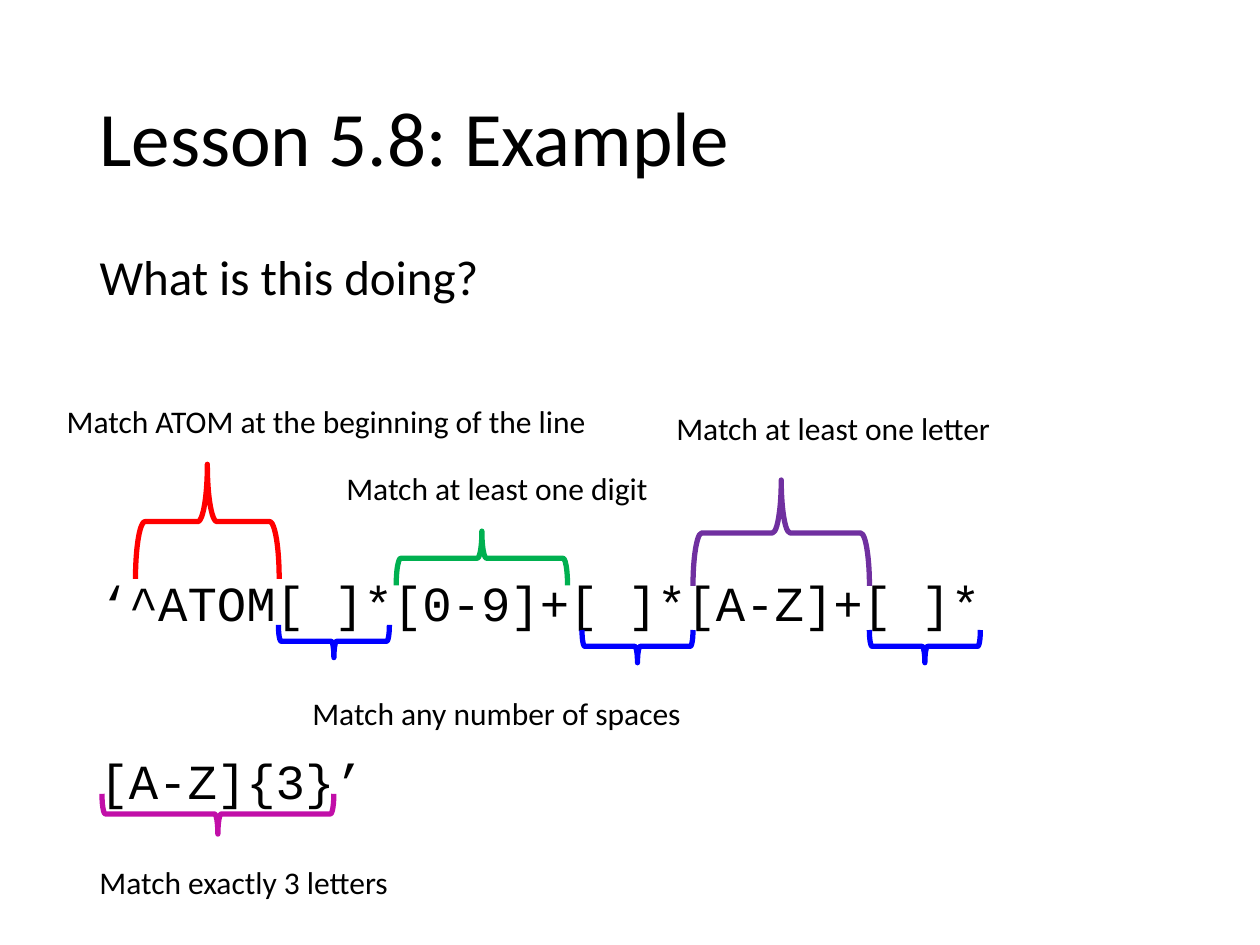
from dataclasses import dataclass

from lxml.etree import SubElement
from pptx import Presentation
from pptx.dml.color import RGBColor
from pptx.enum.shapes import MSO_SHAPE
from pptx.enum.text import MSO_ANCHOR, MSO_AUTO_SIZE, PP_ALIGN
from pptx.oxml.ns import qn
from pptx.util import Pt


@dataclass(frozen=True)
class Label:
    text: str
    left: float
    top: float
    width: float


@dataclass(frozen=True)
class Brace:
    left: float
    top: float
    width: float
    height: float
    color: str
    rotation: int


@dataclass(frozen=True)
class BodyLine:
    text: str
    font: str
    space_before: float


POINT_UP, POINT_DOWN = 90, 270
BLUE = "0000FF"
LABEL_HEIGHT = 29

LABELS = [
    Label("Match ATOM at the beginning of the line", 31, 226, 314.6),
    Label("Match any number of spaces", 171.4, 393.1, 227.5),
    Label("Match at least one digit", 190.8, 264.2, 188.6),
    Label("Match at least one letter", 379.4, 230.4, 196.6),
    Label("Match exactly 3 letters", 49.7, 489.6, 181.4),
]
BRACES = [
    Brace(77.4, 265.3, 82.1, 65.5, "FF0000", POINT_UP),
    Brace(159.1, 357.1, 63.4, 18.7, BLUE, POINT_DOWN),
    Brace(226.4, 303.5, 97.9, 31, "00B050", POINT_UP),
    Brace(332.6, 360, 63.4, 18.7, BLUE, POINT_DOWN),
    Brace(496.8, 360, 63.4, 18.7, BLUE, POINT_DOWN),
    Brace(396, 274.3, 100.8, 60.5, "7030A0", POINT_UP),
    Brace(58.3, 453.6, 132.5, 23, "C10FA8", POINT_DOWN),
]
BODY_LINES = [
    BodyLine("What is this doing?", "Calibri", 10),
    BodyLine("‘^ATOM[ ]*[0-9]+[ ]*[A-Z]+[ ]*", "Courier New", 159),
    BodyLine("[A-Z]{3}’", "Courier New", 75),
]


def color_of(value: str) -> RGBColor:
    return RGBColor.from_string(value)


def place(shape, left: float, top: float, width: float, height: float) -> None:
    shape.left, shape.top = Pt(left), Pt(top)
    shape.width, shape.height = Pt(width), Pt(height)


def add_span(para, text: str, size: float, font: str = "Calibri") -> None:
    span = para.add_run()
    span.text = text
    span.font.size = Pt(size)
    span.font.name = font
    span.font.color.rgb = color_of("000000")


def fill_title(title) -> None:
    place(title, 49.7, 28.8, 620.6, 104.4)
    title.text_frame.vertical_anchor = MSO_ANCHOR.MIDDLE
    title.text_frame.auto_size = MSO_AUTO_SIZE.NONE
    para = title.text_frame.paragraphs[0]
    para.alignment = PP_ALIGN.LEFT
    para.line_spacing = 0.9
    add_span(para, "Lesson 5.8: Example", 44)


def fill_body(body, lines: list[BodyLine]) -> None:
    place(body, 49.7, 144, 620.6, 342.7)
    frame = body.text_frame
    frame.auto_size = MSO_AUTO_SIZE.NONE
    for index, line in enumerate(lines):
        para = frame.add_paragraph() if index else frame.paragraphs[0]
        para.line_spacing = 0.8
        para.space_before = Pt(line.space_before)
        properties = para._p.get_or_add_pPr()
        properties.set("marL", "0")
        properties.set("indent", "0")
        SubElement(properties, qn("a:buNone"))
        add_span(para, line.text, 28, line.font)


def draw_label(page, label: Label) -> None:
    box = page.shapes.add_textbox(
        Pt(label.left), Pt(label.top), Pt(label.width), Pt(LABEL_HEIGHT)
    )
    box.text_frame.word_wrap = False
    box.text_frame.auto_size = MSO_AUTO_SIZE.SHAPE_TO_FIT_TEXT
    add_span(box.text_frame.paragraphs[0], label.text, 18)


def draw_brace(page, brace: Brace) -> None:
    offset = (brace.width - brace.height) / 2
    shape = page.shapes.add_shape(
        MSO_SHAPE.LEFT_BRACE,
        Pt(brace.left + offset),
        Pt(brace.top - offset),
        Pt(brace.height),
        Pt(brace.width),
    )
    shape.rotation = brace.rotation
    shape.shadow.inherit = False
    shape.fill.background()
    shape.line.color.rgb = color_of(brace.color)
    shape.line.width = Pt(3)


def main() -> None:
    deck = Presentation()
    deck.slide_width, deck.slide_height = Pt(720), Pt(540)
    page = deck.slides.add_slide(deck.slide_layouts[1])
    fill_title(page.shapes.title)
    fill_body(page.placeholders[1], BODY_LINES)
    for label in LABELS:
        draw_label(page, label)
    for brace in BRACES:
        draw_brace(page, brace)
    deck.save("out.pptx")


if __name__ == "__main__":
    main()
